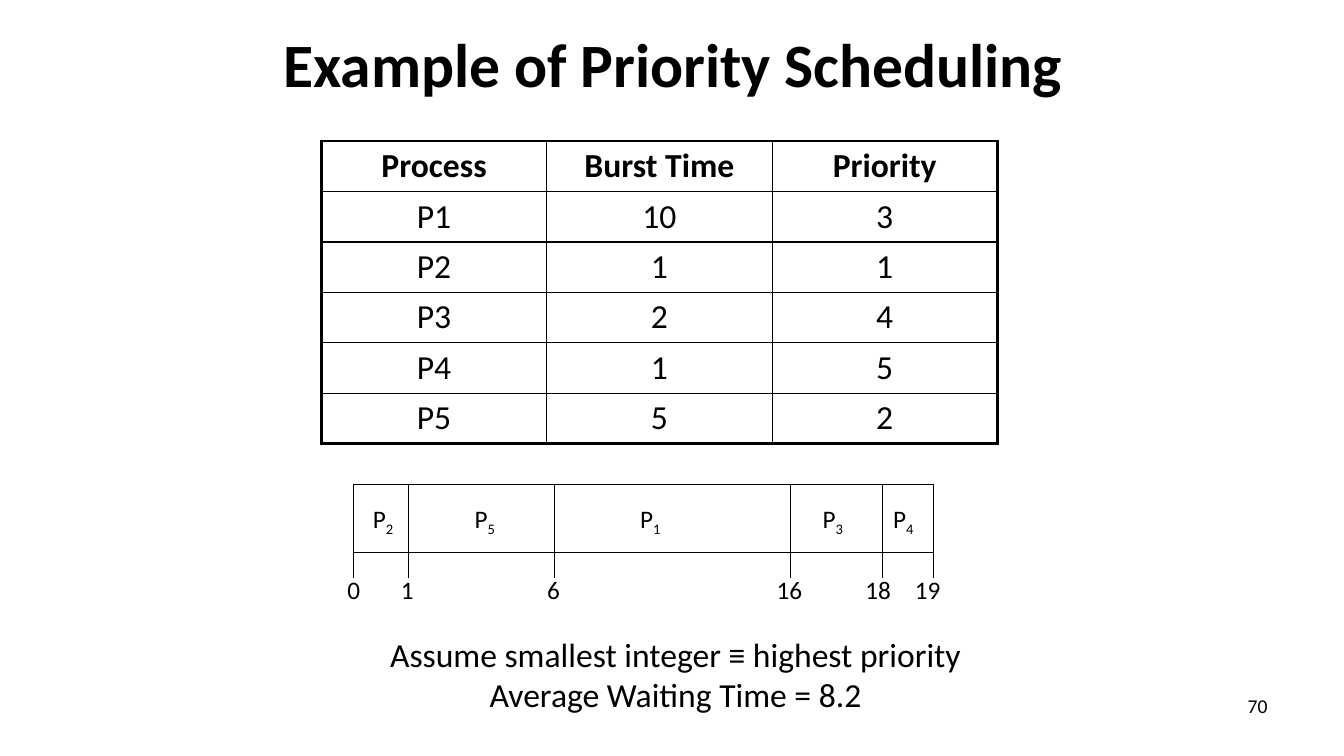
from lxml import etree
from pptx import Presentation
from pptx import util as u
from pptx.dml import color
from pptx.enum import shapes, text
from pptx.oxml import ns

BLACK = "000000"
WHITE = "FFFFFF"
PROCESSES = [
    ("Process", "Burst Time", "Priority"),
    ("P1", "10", "3"),
    ("P2", "1", "1"),
    ("P3", "2", "4"),
    ("P4", "1", "5"),
    ("P5", "5", "2"),
]
COLUMN_WIDTHS = (2.23, 2.24, 2.23)
BAR_TOP, BAR_BOTTOM, TICK_BOTTOM = 4.81, 5.48, 5.73
TICKS = [
    (3.51, "0", 3.51),
    (4.05, "1", 4.04),
    (5.5, "6", 5.49),
    (7.84, "16", 7.83),
    (8.75, "18", 8.71),
    (9.26, "19", 9.2),
]
BURSTS = [("2", 3.8), ("5", 4.81), ("1", 6.45), ("3", 8.26), ("4", 8.96)]


def rgb(value):
    return color.RGBColor.from_string(value)


def apply(target, **values):
    for name, value in values.items():
        setattr(target, name, value)


def inches(*lengths):
    return [u.Inches(length) for length in lengths]


def write(frame, content, size, align=text.PP_ALIGN.CENTER, bold=False, subscript=""):
    para = frame.paragraphs[0]
    para.alignment = align
    for part, baseline in ((content, None), (subscript, "-25000")):
        if not part:
            continue
        span = para.add_run()
        span.text = part
        apply(span.font, size=u.Pt(size), name="Calibri", bold=bold)
        span.font.color.rgb = rgb(BLACK)
        if baseline:
            span.font._element.set("baseline", baseline)


def add_text(parent, place, content, size, wrap=True, anchor=text.MSO_ANCHOR.TOP, **style):
    box = parent.add_textbox(*inches(*place))
    apply(box.text_frame, word_wrap=wrap, vertical_anchor=anchor)
    write(box.text_frame, content, size, **style)


def add_label(parent, centre, top, content, subscript=""):
    width = 0.46
    add_text(parent, (centre - width / 2, top, width, 0.4), content, 18, wrap=False,
             anchor=text.MSO_ANCHOR.MIDDLE, subscript=subscript)


def add_vertical(parent, x, top, bottom):
    line = parent.add_connector(shapes.MSO_CONNECTOR.STRAIGHT, *inches(x, top, x, bottom))
    line.line.width = u.Pt(0.75)
    line.line.color.rgb = rgb(BLACK)
    etree.SubElement(line._element.spPr, ns.qn("a:effectLst"))


def add_borders(cell, widths):
    properties = cell._tc.get_or_add_tcPr()
    for side, width in zip("LRTB", widths):
        border = etree.SubElement(properties, ns.qn(f"a:ln{side}"), w=str(u.Pt(width)))
        fill = etree.SubElement(border, ns.qn("a:solidFill"))
        etree.SubElement(fill, ns.qn("a:srgbClr"), val=BLACK)


def add_process_table(slide):
    rows, columns = len(PROCESSES), len(COLUMN_WIDTHS)
    table = slide.shapes.add_table(rows, columns, *inches(3.19, 1.4, 6.7, 3)).table
    apply(table, first_row=False, horz_banding=False)
    for column, width in zip(table.columns, COLUMN_WIDTHS):
        column.width = u.Inches(width)
    for r, values in enumerate(PROCESSES):
        table.rows[r].height = u.Inches(0.5)
        for c, value in enumerate(values):
            cell = table.cell(r, c)
            outer = (c == 0, c == columns - 1, r == 0, r == rows - 1)
            add_borders(cell, [2.25 if edge else 1 for edge in outer])
            cell.fill.background()
            apply(cell, vertical_anchor=text.MSO_ANCHOR.MIDDLE,
                  margin_top=u.Inches(0.04), margin_bottom=u.Inches(0.04))
            write(cell.text_frame, value, 24, bold=r == 0)


def add_gantt_chart(slide):
    chart = slide.shapes.add_group_shape().shapes
    left, right = TICKS[0][0], TICKS[-1][0]
    bar = chart.add_shape(shapes.MSO_SHAPE.RECTANGLE,
                          *inches(left, BAR_TOP, right - left, BAR_BOTTOM - BAR_TOP))
    bar.shadow.inherit = False
    bar.fill.solid()
    bar.fill.fore_color.rgb = rgb(WHITE)
    bar.line.width = u.Pt(0.75)
    bar.line.color.rgb = rgb(BLACK)
    for x, time, centre in TICKS:
        if left < x < right:
            add_vertical(chart, x, BAR_TOP, BAR_BOTTOM)
        add_vertical(chart, x, BAR_BOTTOM, TICK_BOTTOM)
        add_label(chart, centre, 5.65, time)
    for number, centre in BURSTS:
        add_label(chart, centre, 4.96, "P", subscript=number)


def add_title(slide, content):
    title = slide.shapes.title
    for name, length in zip(("left", "top", "width", "height"), inches(0.68, 0, 12, 1.25)):
        setattr(title, name, length)
    title.text_frame.vertical_anchor = text.MSO_ANCHOR.MIDDLE
    write(title.text_frame, content, 44, bold=True)


def main():
    deck = Presentation()
    apply(deck, slide_width=u.Inches(13.33), slide_height=u.Inches(7.5))
    page = deck.slides.add_slide(deck.slide_layouts[5])
    add_title(page, "Example of Priority Scheduling")
    add_gantt_chart(page)
    add_text(page.shapes, (3.36, 6.24, 6.68, 0.91),
             "Assume smallest integer ≡ highest priority Average Waiting Time = 8.2", 24)
    add_process_table(page)
    add_text(page.shapes, (9.56, 6.83, 3.11, 0.52), "70", 14, align=text.PP_ALIGN.RIGHT)
    deck.save("out.pptx")


if __name__ == "__main__":
    main()
